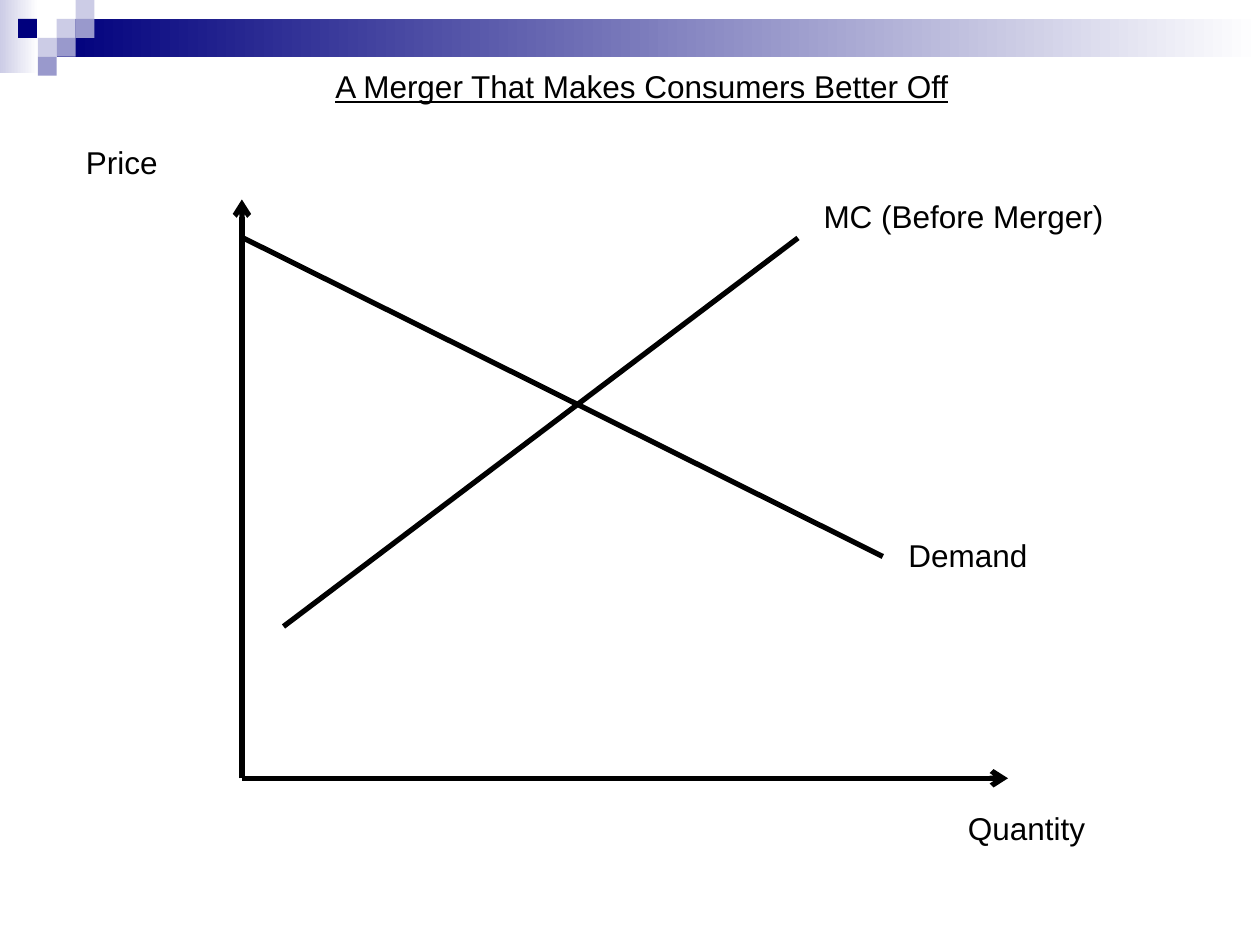
from pptx import Presentation
from pptx.util import Pt
from pptx.dml.color import RGBColor
from pptx.enum.shapes import MSO_SHAPE, MSO_CONNECTOR
from pptx.enum.text import MSO_ANCHOR, MSO_AUTO_SIZE, PP_ALIGN
from pptx.oxml.ns import qn
from lxml.etree import SubElement

HUES = {"navy": "00007D", "mid": "9999CC", "pale": "CCCCE6",
        "white": "FFFFFF", "ink": "000000"}
FONT = "Arial"
TILE = 10.8


def hue(name):
    """Return the named colour."""
    return RGBColor.from_string(HUES[name])


def add_rect(slide, box, *names):
    """Add a plain rectangle: one colour is solid, two make a gradient."""
    shape = slide.shapes.add_shape(MSO_SHAPE.RECTANGLE, *map(Pt, box))
    shape.shadow.inherit = False
    shape.line.fill.background()
    if len(names) == 1:
        shape.fill.solid()
        shape.fill.fore_color.rgb = hue(names[0])
        return
    shape.fill.gradient()
    shape.fill.gradient_angle = 0
    for stop, name in zip(shape.fill.gradient_stops, names):
        stop.color.rgb = hue(name)


def add_line(slide, start, end, arrow=False):
    """Add a thick line, with an arrowhead at its end if asked."""
    line = slide.shapes.add_connector(
        MSO_CONNECTOR.STRAIGHT, *map(Pt, start + end))
    line.line.width = Pt(3)
    line.line.color.rgb = hue("ink")
    if arrow:
        SubElement(line.line._get_or_add_ln(), qn("a:tailEnd"), type="arrow")
    SubElement(line._element.spPr, qn("a:effectLst"))


def add_run(frame, text, under=None):
    """Add one run to the first paragraph."""
    run = frame.paragraphs[0].add_run()
    run.text = text
    run.font.name = FONT
    run.font.size = Pt(18)
    run.font.underline = under
    run.font.color.rgb = hue("ink")


def add_label(slide, text, left, top, width):
    """Add a one-line label."""
    frame = slide.shapes.add_textbox(
        *map(Pt, (left, top, width, 28.8))).text_frame
    frame.word_wrap = False
    frame.auto_size = MSO_AUTO_SIZE.SHAPE_TO_FIT_TEXT
    add_run(frame, text)


def set_title(slide, text):
    """Place and format the title."""
    title = slide.shapes.title
    title.left, title.top = Pt(174.24), Pt(34.56)
    title.width, title.height = Pt(385.2), Pt(28.8)
    frame = title.text_frame
    frame.word_wrap = True
    frame.auto_size = MSO_AUTO_SIZE.NONE
    frame.vertical_anchor = MSO_ANCHOR.TOP
    frame.paragraphs[0].alignment = PP_ALIGN.CENTER
    add_run(frame, text, True)


def add_banner(slide):
    """Add the fading bars and the mosaic of tiles."""
    add_rect(slide, (0, 0, 22, 41.76), "pale", "white")
    add_rect(slide, (32.4, TILE, 687.6, 2 * TILE), "navy", "white")
    tiles = [(3, 1, "pale"), (4, 0, "pale"), (4, 1, "mid"), (2, 2, "pale"),
             (1, 1, "navy"), (3, 2, "mid"), (2, 3, "mid")]
    for col, row, name in tiles:
        add_rect(slide, (col * TILE - (0.5 if col == 1 else 0), row * TILE,
                         TILE, TILE), name)


def main():
    """Build the slide."""
    deck = Presentation()
    deck.slide_width, deck.slide_height = Pt(720), Pt(540)
    slide = deck.slides.add_slide(deck.slide_layouts[5])
    set_title(slide, "A Merger That Makes Consumers Better Off")
    add_banner(slide)
    base = (138.24, 444.75)
    add_line(slide, base, (138.24, 114), True)
    add_line(slide, base, (576, 444.75), True)
    add_line(slide, (139, 136), (504.5, 318))
    add_line(slide, (162, 358), (456, 136))
    for label in [("Price", 42, 78, 56), ("Quantity", 546, 458.75, 82),
                  ("Demand", 512, 303, 83.5),
                  ("MC (Before Merger) ", 463.5, 109.25, 181.5)]:
        add_label(slide, *label)
    deck.save("out.pptx")


main()
